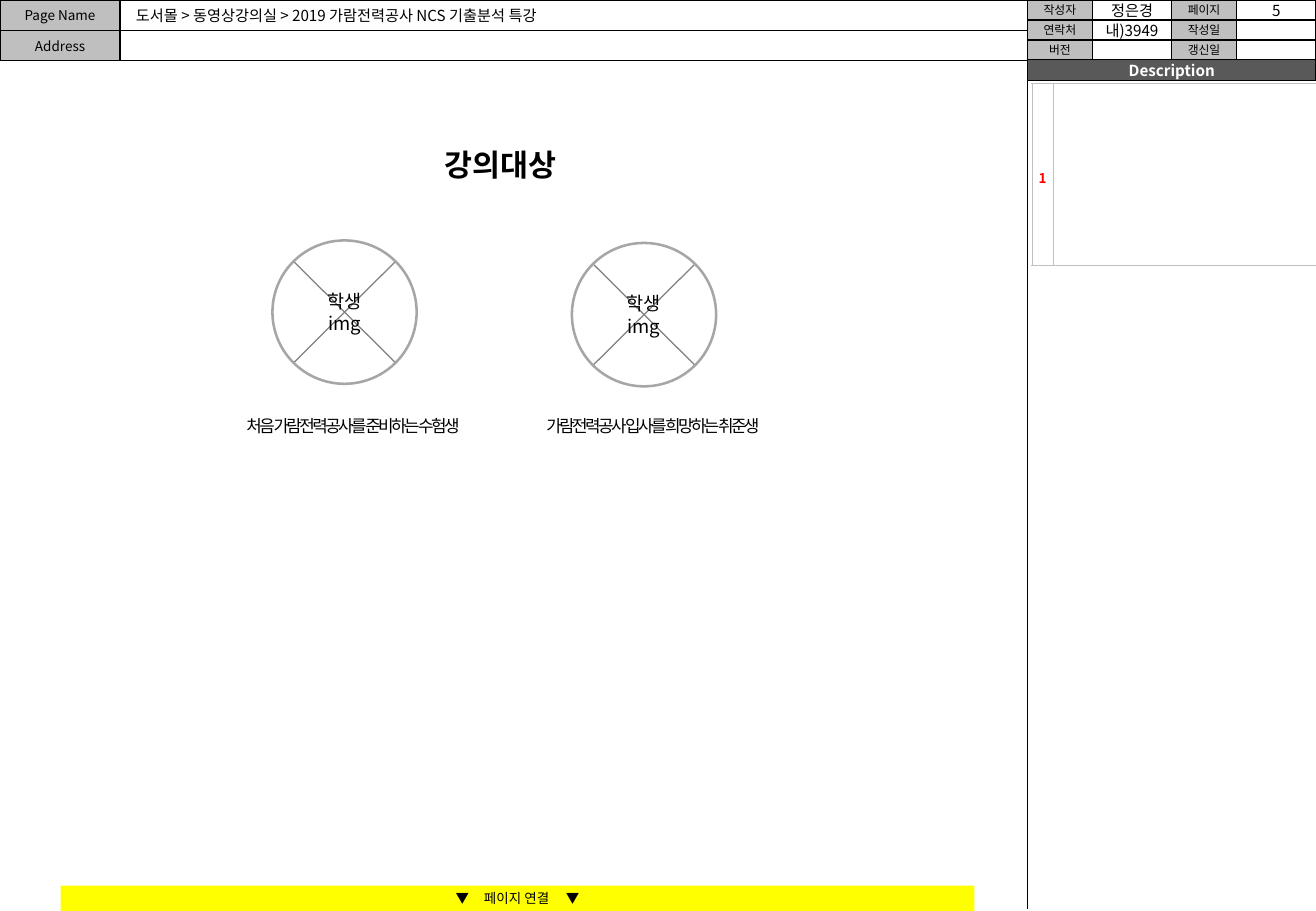
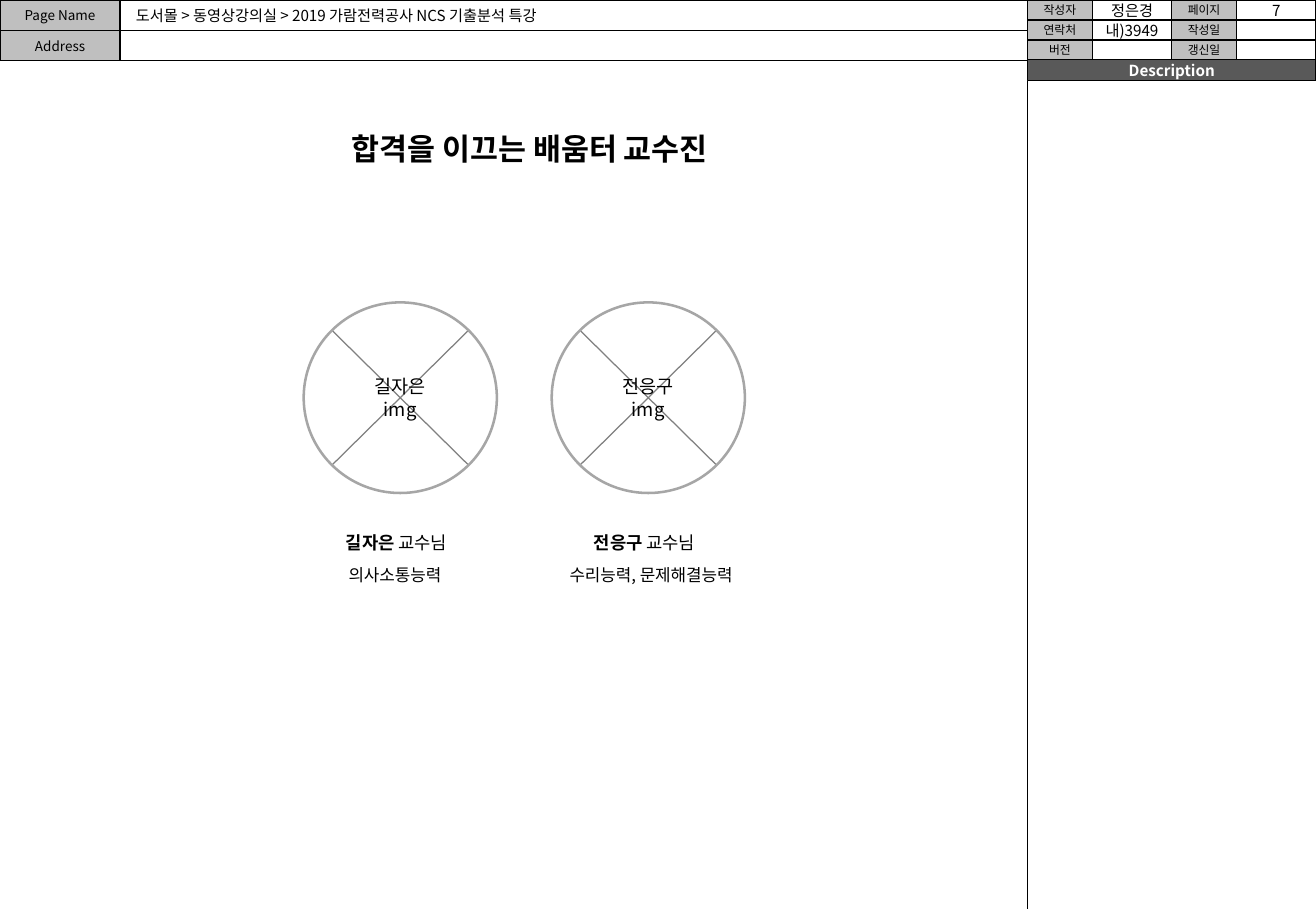
"""Builds two storyboard pages for a lecture site."""
from dataclasses import dataclass
from math import sqrt

from pptx import Presentation
from pptx import util as u
from pptx.dml import color as c
from pptx.enum import shapes, text
from pptx.oxml import xmlchemy

CENTER, LEFT, JUSTIFY = text.PP_ALIGN.CENTER, text.PP_ALIGN.LEFT, text.PP_ALIGN.JUSTIFY
MIDDLE, TOP = text.MSO_ANCHOR.MIDDLE, text.MSO_ANCHOR.TOP


@dataclass(frozen=True)
class Theme:
    """Colours and type sizes."""
    font: str = "Noto Sans CJK KR"
    ink: str = "000000"
    paper: str = "FFFFFF"
    label: str = "BFBFBF"
    banner: str = "595959"
    cross: str = "808080"
    ring: str = "A6A6A6"
    link: str = "FFFF00"
    marker: str = "FF0000"
    title: float = 18
    portrait: float = 11
    name: float = 10.5
    caption: float = 10
    body: float = 9
    small: float = 8
    tiny: float = 7


THEME = Theme()


def rgb(value):
    return c.RGBColor.from_string(value)


def paint(fill, value):
    if value:
        fill.solid()
        fill.fore_color.rgb = rgb(value)
    else:
        fill.background()


def child(parent, tag, **attributes):
    element = xmlchemy.OxmlElement(tag)
    for key, value in attributes.items():
        element.set(key, str(value))
    parent.append(element)
    return element


def set_insets(holder, insets):
    (holder.margin_left, holder.margin_top,
     holder.margin_right, holder.margin_bottom) = map(u.Pt, insets)


def write(frame, content, *, size, ink=THEME.ink, bold=False, align=CENTER, before=0,
          after=0, line=None, spacing=0):
    paragraphs = content if isinstance(content, list) else [content]
    for index, runs in enumerate(paragraphs):
        paragraph = frame.paragraphs[0] if index == 0 else frame.add_paragraph()
        paragraph.alignment = align
        paragraph.space_before, paragraph.space_after = u.Pt(before), u.Pt(after)
        if line:
            paragraph.line_spacing = line
        for words, special in [(runs, {})] if isinstance(runs, str) else runs:
            run = paragraph.add_run()
            run.text = words
            run.font.size = u.Pt(size)
            run.font.bold = special.get("bold", bold)
            run.font.color.rgb = rgb(ink)
            run.font.name = THEME.font
            properties = run._r.get_or_add_rPr()
            child(properties, "a:ea", typeface=THEME.font)
            gap = special.get("spacing", spacing)
            if gap:
                properties.set("spc", str(int(gap * 100)))


class Storyboard:
    """Holds the theme and the slide being drawn."""

    def __init__(self):
        self.theme = THEME
        self.presentation = Presentation()
        self.presentation.slide_width = u.Pt(780)
        self.presentation.slide_height = u.Pt(540)
        self.slide = None

    def box(self, left, top, width, height, content="", *, kind=shapes.MSO_SHAPE.RECTANGLE,
            fill=None, line=None, weight=0.75, **style):
        shape = self.slide.shapes.add_shape(kind, *map(u.Pt, (left, top, width, height)))
        shape.shadow.inherit = False
        paint(shape.fill, fill)
        paint(shape.line.fill, line)
        if line:
            shape.line.width = u.Pt(weight)
        if content:
            frame = shape.text_frame
            frame.word_wrap = True
            frame.vertical_anchor = MIDDLE
            set_insets(frame, (0, 0, 0, 0))
            write(frame, content, **style)

    def label(self, left, top, width, height, content, **style):
        shape = self.slide.shapes.add_textbox(*map(u.Pt, (left, top, width, height)))
        shape.text_frame.word_wrap = True
        write(shape.text_frame, content, **style)

    def line(self, start_x, start_y, end_x, end_y, ink):
        connector = self.slide.shapes.add_connector(
            shapes.MSO_CONNECTOR.STRAIGHT, *map(u.Pt, (start_x, start_y, end_x, end_y)))
        connector.line.color.rgb = rgb(ink)
        connector.line.width = u.Pt(0.75)
        child(connector._element.spPr, "a:effectLst")

    def table(self, left, top, widths, heights, rows, *, insets, edge, outer, inner,
              anchor=TOP, fill=None, **style):
        table = self.slide.shapes.add_table(
            len(heights), len(widths),
            *map(u.Pt, (left, top, sum(widths), sum(heights)))).table
        table.first_row = table.horz_banding = False
        for column, width in zip(table.columns, widths):
            column.width = u.Pt(width)
        for row, height in zip(table.rows, heights):
            row.height = u.Pt(height)
        for y, row in enumerate(rows):
            for x, content in enumerate(row):
                cell = table.cell(y, x)
                set_insets(cell, insets)
                cell.vertical_anchor = anchor
                sides = {"L": x == 0, "R": x == len(widths) - 1,
                         "T": y == 0, "B": y == len(heights) - 1}
                for side, is_outer in sides.items():
                    border = child(cell._tc.get_or_add_tcPr(), f"a:ln{side}",
                                   w=int(u.Pt(outer if is_outer else inner)))
                    child(child(border, "a:solidFill"), "a:srgbClr", val=edge)
                paint(cell.fill, fill if content else None)
                if content:
                    write(cell.text_frame, content, **style)
                else:
                    child(cell.text_frame.paragraphs[0]._p, "a:endParaRPr",
                          sz=int(self.theme.small * 100))

    def details(self, number):
        theme = self.theme
        rows = [("작성자", "정은경", "페이지", number),
                ("연락처", "내)3949", "작성일", ""),
                ("버전", "", "갱신일", "")]
        widths, height = (38.5, 47, 38.5, 47), 11.83
        for y, row in enumerate(rows):
            for x, content in enumerate(row):
                heading = x % 2 == 0
                self.box(609 + sum(widths[:x]), y * height, widths[x], height, content,
                         fill=theme.label if heading else None, line=theme.ink,
                         size=theme.tiny if heading else theme.body)

    def page(self, number, title, title_left, title_top):
        theme = self.theme
        self.slide = self.presentation.slides.add_slide(self.presentation.slide_layouts[6])
        paint(self.slide.background.fill, theme.paper)
        self.box(609, 35.5, 171, 12.25, "Description", fill=theme.banner, line=theme.ink,
                 size=theme.body, ink=theme.paper, bold=True)
        self.line(609, 48, 609, 539, theme.ink)
        self.table(0, 0, [71.25, 537.75], [18, 18], [["Page Name", ""], ["Address", ""]],
                   insets=(7.2, 2.9, 7.2, 2.9), edge=theme.ink, outer=0.75, inner=1,
                   fill=theme.label, size=theme.small, before=1.6)
        self.details(number)
        self.label(73.5, 0, 281, 18, "도서몰 > 동영상강의실 > 2019 가람전력공사 NCS 기출분석 특강",
                   size=theme.body, align=LEFT)
        self.label(title_left, title_top, 255, 29, title, size=theme.title, bold=True)

    def portrait(self, left, top, width, height, person):
        inset = (1 - 1 / sqrt(2)) / 2
        near_x, far_x = left + width * inset, left + width * (1 - inset)
        near_y, far_y = top + height * inset, top + height * (1 - inset)
        self.line(near_x, near_y, far_x, far_y, self.theme.cross)
        self.line(near_x, far_y, far_x, near_y, self.theme.cross)
        self.box(left, top, width, height, [person, "img"], kind=shapes.MSO_SHAPE.OVAL,
                 line=self.theme.ring, weight=1.5, size=self.theme.portrait)

    def audience(self):
        theme = self.theme
        self.page("5", "강의대상", 169, 83)
        self.table(611.5, 49.5, [13, 155.5], [107.5], [["1", ""]],
                   insets=(0, 4.3, 0, 4.3), anchor=MIDDLE, edge=theme.label, outer=0.25,
                   inner=0.25, size=theme.small, ink=theme.marker, bold=True, line=1.3)
        self.box(36, 525, 541.5, 15,
                 [[("▼", {}), (" ", {"spacing": 7}), ("페이지 연결", {}),
                   (" ", {"spacing": 8}), ("▼", {})]],
                 fill=theme.link, size=theme.small)
        groups = [(161.5, 142.5, 139, 181.5, JUSTIFY, "처음 가람전력공사를 준비하는 수험생"),
                  (339, 144, 308, 158, CENTER, "가람전력공사 입사를 희망하는 취준생")]
        for left, top, caption_left, caption_width, align, caption in groups:
            self.portrait(left, top, 85.5, 85, "학생")
            self.label(caption_left, 242, caption_width, 20, caption, size=theme.caption,
                       align=align, line=1.07, after=8, spacing=-1.5)

    def teachers(self):
        theme = self.theme
        self.page("7", "합격을 이끄는 배움터 교수진", 186.5, 73.5)
        people = [(180, "길자은", "의사소통능력", 199.5, 75),
                  (327, "전응구", "수리능력, 문제해결능력", 330.5, 122.5)]
        for left, person, subject, subject_left, subject_width in people:
            self.portrait(left, 179.25, 114.5, 113, person)
            self.label(left - 0.75, 311.75, 111.5, 20,
                       [[(person, {"bold": True}), (" 교수님", {})]], size=theme.name)
            self.label(subject_left, 331.25, subject_width, 19.5, subject,
                       size=theme.caption, align=LEFT)


def main():
    storyboard = Storyboard()
    storyboard.audience()
    storyboard.teachers()
    storyboard.presentation.save("out.pptx")


if __name__ == "__main__":
    main()
